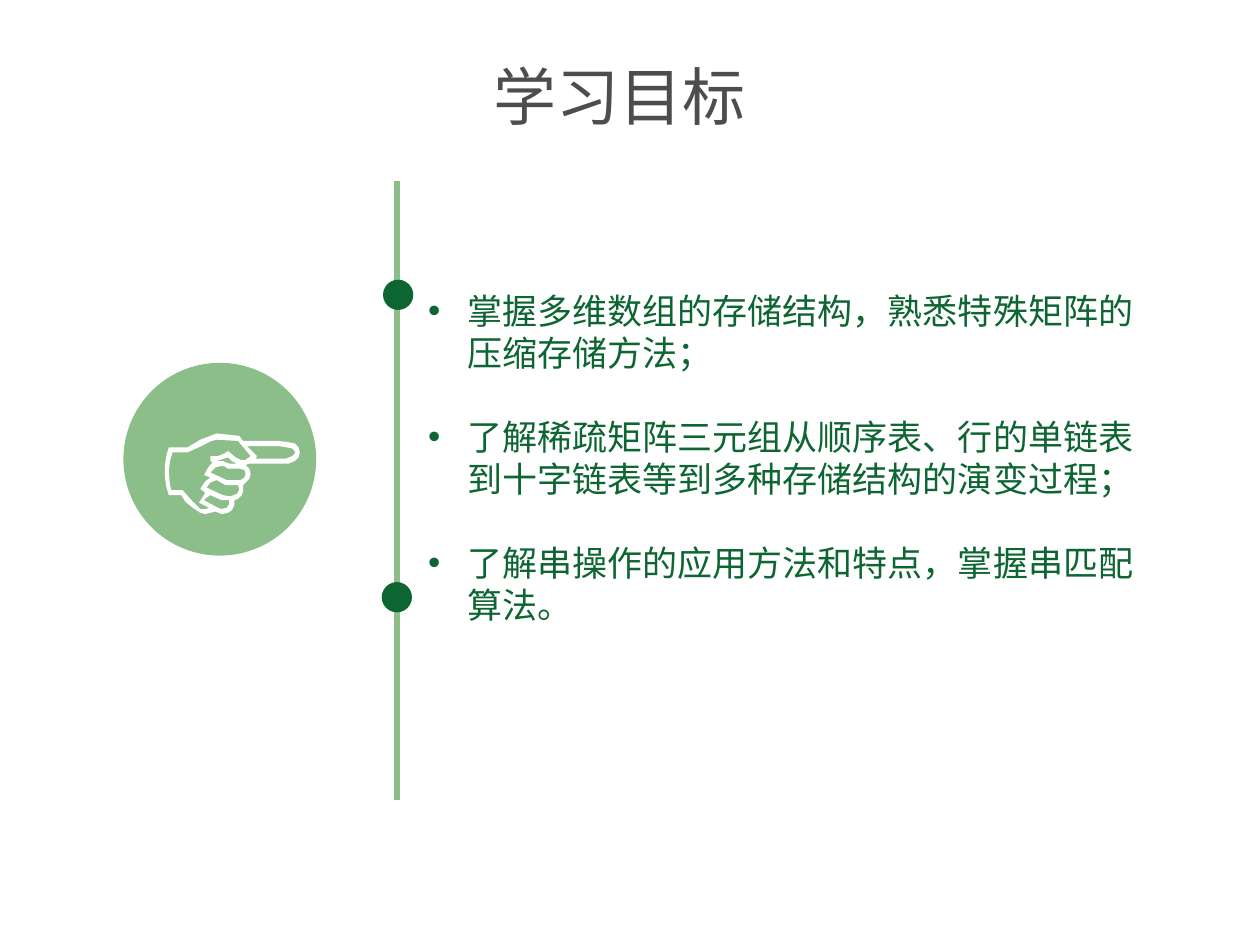
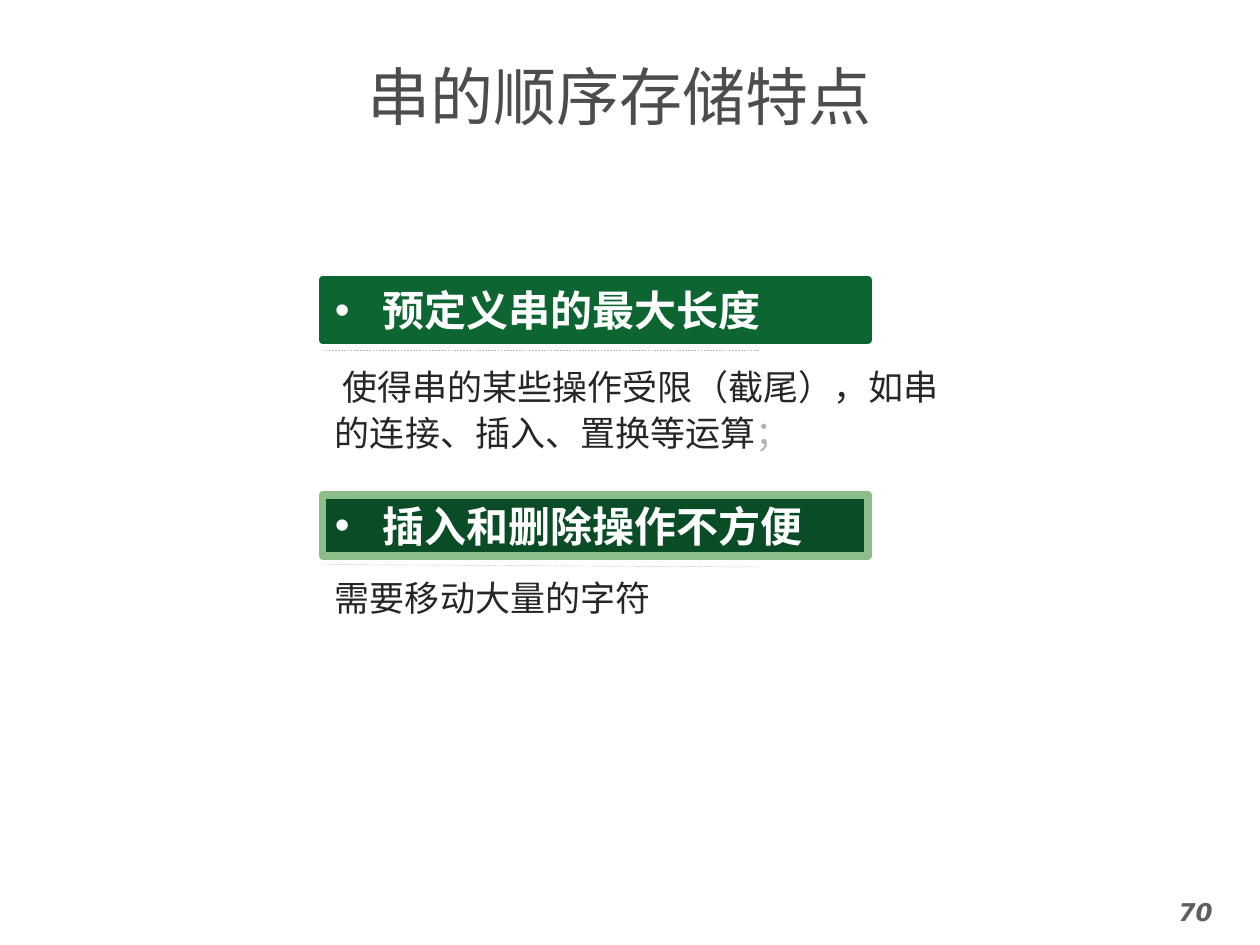
from dataclasses import dataclass

from lxml import etree
from pptx import Presentation
from pptx.dml.color import RGBColor
from pptx.enum.dml import MSO_LINE
from pptx.enum.shapes import MSO_CONNECTOR, MSO_SHAPE
from pptx.enum.text import MSO_ANCHOR, PP_ALIGN
from pptx.oxml.ns import qn
from pptx.util import Pt

PX = 9144  # EMU per px, 100 px to the inch
OVAL, RECT = MSO_SHAPE.OVAL, MSO_SHAPE.RECTANGLE
STRAIGHT, DASH = MSO_CONNECTOR.STRAIGHT, MSO_LINE.DASH
TOP, MIDDLE = MSO_ANCHOR.TOP, MSO_ANCHOR.MIDDLE
LEFT, CENTER = PP_ALIGN.LEFT, PP_ALIGN.CENTER


@dataclass(frozen=True)
class Theme:
    green: str = "0D6531"
    dark_green: str = "0A4C25"
    light_green: str = "8BBE88"
    white: str = "FFFFFF"
    ink: str = "262626"
    title_gray: str = "4D4D4D"
    number_gray: str = "5F5F5F"
    rule_gray: str = "B8B8B8"
    faint: str = "B2B2B2"
    title_font: str = "DejaVu Sans Mono"
    number_font: str = "DejaVu Sans"
    body_font: str = "Noto Sans CJK SC"
    title_size: int = 36
    band_size: int = 24
    body_size: int = 20
    number_size: int = 14


T = Theme()

# Content
GOALS_TITLE = "学习目标"
GOALS = [
    "掌握多维数组的存储结构，熟悉特殊矩阵的压缩存储方法；",
    "了解稀疏矩阵三元组从顺序表、行的单链表到十字链表等到多种存储结构的演变过程；",
    "了解串操作的应用方法和特点，掌握串匹配算法。",
]
STORAGE_TITLE = "串的顺序存储特点"
STORAGE_POINTS = [
    dict(head="预定义串的最大长度", fill=T.green, line=T.green, rule_drop=0,
         body=[("使得串的某些操作受限（截尾），如串的连接、插入、置换等运算", T.ink),
               ("；", T.faint)],
         width=512, first_indent=6, spacing=26.4),
    dict(head="插入和删除操作不方便", fill=T.dark_green, line=T.light_green, rule_drop=2,
         body=[("需要移动大量的字符", T.ink)],
         width=343, first_indent=0, spacing=24),
]
PAGE_NUMBER = "70"

# Layout in px
TITLE_BOX = (58, 41, 867, 70)
NUMBER_BOX = (898, 707, 102, 43)
GOALS_BOX = (280, 225, 646, 279)
TIMELINE = (315, 144, 315, 635)
DOTS = [(303, 462, 24, 24), (304, 222, 24, 24)]
HAND_DISC = (98, 288, 153, 153)
BAND_LEFT, BAND_TOP, BAND_W, BAND_H, BAND_PITCH = 256, 222, 433, 48, 171
RULE_GAP, RULE_W, BODY_GAP, BODY_H = 56, 347, 60, 75

# Pointing hand: outer edge, then the openings inside it
HAND = [
    [(172, 344), (190, 346), (193, 350), (221, 350), (229, 351), (234, 352),
     (237, 355), (238, 359), (237, 363), (234, 366), (229, 368), (222, 368),
     (198, 368), (195, 369), (198, 372), (199, 376), (198, 380), (196, 382),
     (193, 385), (193, 390), (192, 393), (189, 396), (186, 397), (186, 401),
     (184, 405), (181, 407), (176, 408), (171, 406), (163, 408), (159, 407),
     (153, 403), (147, 398), (144, 393), (134, 393), (132, 386), (131, 379),
     (131, 369), (132, 362), (134, 355), (149, 355), (159, 349)],
    [(172, 349), (168, 350), (160, 354), (149, 359), (137, 359), (135, 366),
     (134, 374), (135, 385), (136, 389), (145, 389), (152, 397), (159, 404),
     (163, 404), (166, 403), (158, 399), (163, 391), (159, 388), (163, 382),
     (167, 379), (162, 377), (166, 370), (169, 367), (167, 366), (167, 362),
     (173, 362), (178, 360), (181, 358), (187, 363), (191, 365), (195, 365),
     (199, 362), (189, 350)],
    [(182, 368), (188, 368), (184, 366), (181, 363), (175, 365), (172, 366),
     (177, 366)],
    [(196, 354), (204, 362), (203, 364), (218, 364), (227, 364), (232, 362),
     (234, 360), (234, 358), (232, 356), (227, 355), (221, 354)],
    [(175, 370), (171, 371), (167, 375), (180, 381), (191, 381), (194, 379),
     (195, 376), (194, 373), (190, 372), (181, 372), (178, 370)],
    [(172, 381), (167, 383), (164, 387), (177, 393), (183, 394), (188, 392),
     (190, 389), (189, 385), (179, 385)],
    [(167, 393), (164, 395), (162, 397), (173, 403), (176, 404), (180, 403),
     (182, 400), (182, 397), (176, 397)],
]


def emu(*lengths):
    return [v * PX for v in lengths]


def rgb(color):
    return RGBColor.from_string(color)


def put_text(s, paragraphs, *, size, font, color=T.ink, bold=False, italic=False,
             align=LEFT, anchor=TOP, indent=(0, 0), bullet=False, spacing=None, gap=0):
    """Fill s with paragraphs: strings or lists of (text, color) runs."""
    tf = s.text_frame
    tf.word_wrap, tf.vertical_anchor = True, anchor
    for i, runs in enumerate(paragraphs):
        p = tf.paragraphs[0] if i == 0 else tf.add_paragraph()
        p.alignment = align
        if spacing:
            p.line_spacing = Pt(spacing)
        if i and gap:
            p.space_before = Pt(gap)
        pPr = p._p.get_or_add_pPr()
        pPr.set("marL", str(indent[0] * PX))
        pPr.set("indent", str(indent[1] * PX))
        if bullet:
            etree.SubElement(pPr, qn("a:buFont")).set("typeface", "Arial")
            etree.SubElement(pPr, qn("a:buChar")).set("char", "•")
        for text, run_color in [(runs, color)] if isinstance(runs, str) else runs:
            r = p.add_run()
            r.text = text
            r.font.size, r.font.name = Pt(size), font
            r.font.bold, r.font.italic = bold, italic
            r.font.color.rgb = rgb(run_color)


def add_text(slide, box, paragraphs, **fmt):
    s = slide.shapes.add_textbox(*emu(*box))
    put_text(s, paragraphs, **fmt)


def paint(s, fill, line=None, width=0):
    s.shadow.inherit = False
    s.fill.solid()
    s.fill.fore_color.rgb = rgb(fill)
    if line:
        s.line.color.rgb = rgb(line)
        s.line.width = Pt(width)
    else:
        s.line.fill.background()


def add_shape(shapes, kind, box, fill, line=None, width=0):
    s = shapes.add_shape(kind, *emu(*box))
    paint(s, fill, line, width)
    return s


def add_line(slide, ends, color, width, dash=None):
    s = slide.shapes.add_connector(STRAIGHT, *emu(*ends))
    s.line.color.rgb, s.line.width = rgb(color), Pt(width)
    if dash:
        s.line.dash_style = dash
    etree.SubElement(s._element.spPr, qn("a:effectLst"))


def add_hand(slide):
    shapes = slide.shapes.add_group_shape().shapes
    add_shape(shapes, OVAL, HAND_DISC, T.light_green)
    outline, *openings = HAND
    builder = shapes.build_freeform(*outline[0], scale=PX)
    builder.add_line_segments(outline[1:], close=True)
    for opening in openings:
        builder.move_to(*opening[0])
        builder.add_line_segments(opening[1:], close=True)
    paint(builder.convert_to_shape(), T.white)


def new_slide(prs, title):
    slide = prs.slides.add_slide(prs.slide_layouts[6])
    add_text(slide, TITLE_BOX, [title], size=T.title_size, font=T.title_font,
             color=T.title_gray, align=CENTER, anchor=MIDDLE)
    return slide


def goals_slide(prs):
    slide = new_slide(prs, GOALS_TITLE)
    add_line(slide, TIMELINE, T.light_green, 3)
    for dot in DOTS:
        add_shape(slide.shapes, OVAL, dot, T.green)
    add_text(slide, GOALS_BOX, GOALS, size=T.body_size, font=T.body_font,
             color=T.green, indent=(81, -31), bullet=True, spacing=24, gap=24)
    add_hand(slide)


def storage_slide(prs):
    slide = new_slide(prs, STORAGE_TITLE)
    add_text(slide, NUMBER_BOX, [PAGE_NUMBER], size=T.number_size, font=T.number_font,
             color=T.number_gray, bold=True, italic=True, align=CENTER)
    for i, point in enumerate(STORAGE_POINTS):
        top = BAND_TOP + i * BAND_PITCH
        # Thin rule under the band
        rule_y = top + RULE_GAP
        add_line(slide, (BAND_LEFT, rule_y - point["rule_drop"] // 2,
                         BAND_LEFT + RULE_W, rule_y + point["rule_drop"] // 2),
                 T.rule_gray, 0.25, DASH)
        # Band with its heading
        band = add_shape(slide.shapes, RECT, (BAND_LEFT, top, BAND_W, BAND_H),
                         point["fill"], point["line"], 4.5)
        put_text(band, [point["head"]], size=T.band_size, font=T.body_font,
                 color=T.white, bold=True, anchor=MIDDLE, indent=(38, -38), bullet=True)
        # Explanation
        add_text(slide, (BAND_LEFT, top + BODY_GAP, point["width"], BODY_H),
                 [point["body"]], size=T.body_size, font=T.body_font,
                 indent=(0, point["first_indent"]), spacing=point["spacing"])


def main():
    prs = Presentation()
    prs.slide_width, prs.slide_height = emu(1000, 750)
    goals_slide(prs)
    storage_slide(prs)
    prs.save("out.pptx")


if __name__ == "__main__":
    main()
